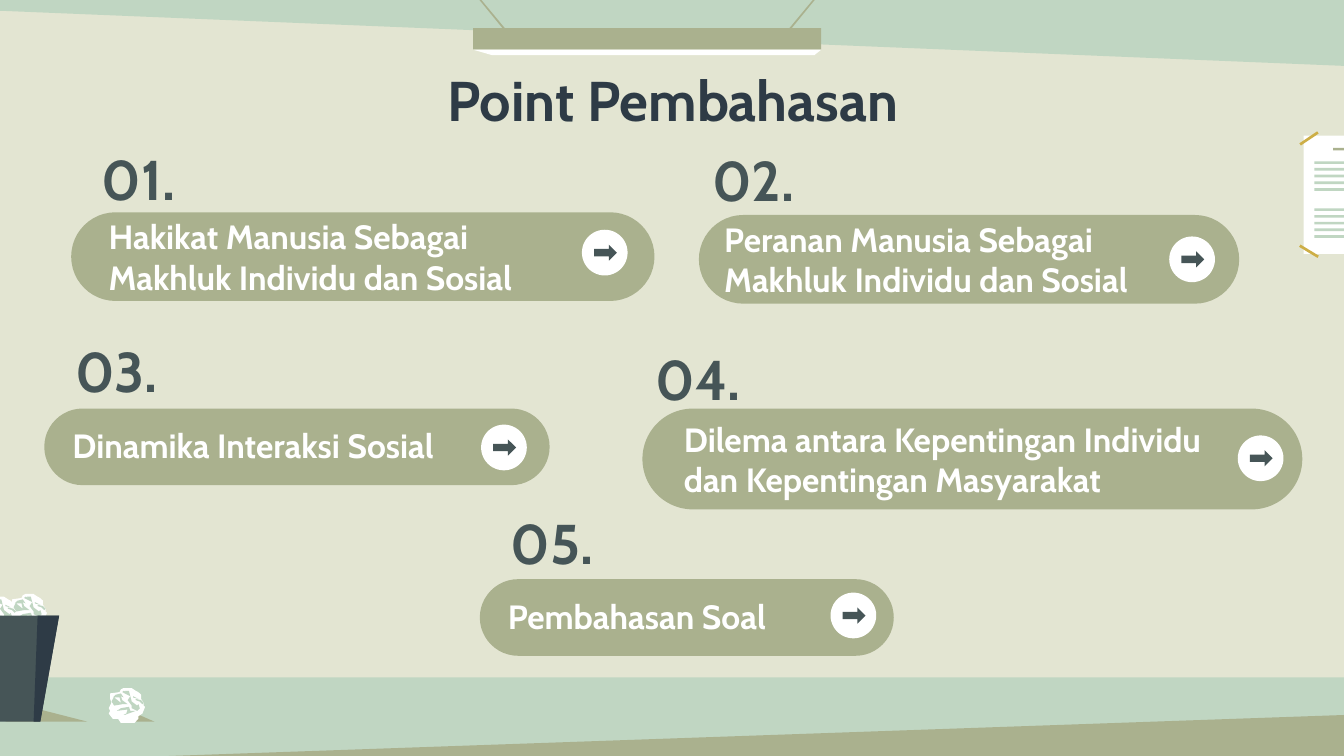
from pptx import Presentation
from pptx.dml.color import RGBColor
from pptx.enum.shapes import MSO_SHAPE
from pptx.enum.text import MSO_ANCHOR, PP_ALIGN
from pptx.util import Inches, Pt

RECTANGLE, PILL = MSO_SHAPE.RECTANGLE, MSO_SHAPE.ROUNDED_RECTANGLE
ELLIPSE, ARROW = MSO_SHAPE.OVAL, MSO_SHAPE.RIGHT_ARROW
MIDDLE, LEFT, CENTER = MSO_ANCHOR.MIDDLE, PP_ALIGN.LEFT, PP_ALIGN.CENTER

FONT = "Cabin"
CREAM, MINT, OLIVE, WHITE = "E3E5D2", "C0D6C2", "AAB18E", "FFFFFF"
SLATE, NAVY, GOLD = "465557", "2E3B46", "CDAE46"

# Outline and folds of a crumpled paper ball, from its top left corner
BALL_OUTLINE = [
    (.11, 0), (.09, .01), (.08, .03), (.01, .04), (.01, .08), (.02, .11), (0, .15),
    (.01, .17), (0, .19), (.03, .23), (.07, .23), (.09, .26), (.19, .26), (.22, .23),
    (.22, .21), (.25, .19), (.27, .14), (.26, .13), (.26, .11), (.24, .08),
    (.24, .05), (.22, .03), (.2, .02), (.17, 0)]
LEFT_FOLD = [
    (.09, .04), (.05, .05), (.03, .07), (.08, .07), (.09, .11), (.04, .07), (.03, .08),
    (.02, .1), (.04, .13), (.1, .12), (.14, .12), (.1, .09), (.09, .06), (.11, .07)]
FOLDS = [
    [(.15, .14), (.09, .15), (.06, .17), (.14, .16), (.13, .19), (.11, .2),
     (.12, .2), (.2, .17), (.16, .17)],
    [(.13, .02), (.12, .02), (.15, .04), (.11, .02), (.1, .03), (.12, .04),
     (.16, .06), (.15, .02)],
    [(.18, .06), (.18, .07), (.22, .08)],
    [(.2, .08), (.2, .09), (.23, .1), (.25, .12), (.26, .11), (.24, .09)],
    [(.16, .06), (.14, .09), (.17, .13), (.17, .15), (.21, .17), (.23, .15),
     (.22, .12), (.21, .13), (.17, .1)]]

# Number, text, pill box, number offset, text offset, text width, badge offset
TOPICS = [
    ("01.", "Hakikat Manusia Sebagai Makhluk Individu dan Sosial",
     (.53, 1.58, 4.34, .66), (.13, -.48), (.18, 0), 3.41, (3.8, .13)),
    ("02.", "Peranan Manusia Sebagai Makhluk Individu dan Sosial",
     (5.2, 1.6, 4.02, .66), (0, -.49), (.09, 0), 3.41, (3.5, .16)),
    ("03.", "Dinamika Interaksi Sosial",
     (.33, 3.04, 3.76, .57), (.13, -.51), (.11, -.01), 3.14, (3.25, .12)),
    ("04.", "Dilema antara Kepentingan Individu dan Kepentingan Masyarakat",
     (4.78, 3.04, 4.91, .75), (0, -.45), (.21, 0), 4.43, (4.43, .2)),
    ("05.", "Pembahasan Soal",
     (3.57, 4.31, 3.08, .57), (.13, -.5), (.11, -.01), 2.97, (2.61, .1)),
]


def color(value):
    return RGBColor.from_string(value)


def paint(shape, fill):
    shape.shadow.inherit = False
    shape.fill.solid()
    shape.fill.fore_color.rgb = color(fill)
    shape.line.fill.background()
    return shape


def add_shape(slide, kind, left, top, width, height, fill):
    box = map(Inches, (left, top, width, height))
    return paint(slide.shapes.add_shape(kind, *box), fill)


def add_outline(slide, points, fill, left=0, top=0):
    corners = [(Inches(left + x), Inches(top + y)) for x, y in points]
    builder = slide.shapes.build_freeform(*corners[0])
    builder.add_line_segments(corners[1:], close=True)
    return paint(builder.convert_to_shape(), fill)


def add_text(slide, text, left, top, width, height, size, text_color, align=LEFT):
    box = slide.shapes.add_textbox(*map(Inches, (left, top, width, height)))
    frame = box.text_frame
    frame.word_wrap = True
    frame.vertical_anchor = MIDDLE
    frame.margin_left = frame.margin_right = Inches(.1)
    frame.margin_top = frame.margin_bottom = Inches(.1)
    paragraph = frame.paragraphs[0]
    paragraph.text = text
    paragraph.alignment = align
    font = paragraph.font
    font.name, font.size, font.bold = FONT, Pt(size), True
    font.color.rgb = color(text_color)


def add_backdrop(slide):
    slide.background.fill.solid()
    slide.background.fill.fore_color.rgb = color(CREAM)
    add_shape(slide, RECTANGLE, 0, 5.04, 10, .62, MINT)
    add_outline(slide, [(10, 5.32), (10, 5.67), (-.03, 5.67)], OLIVE)
    add_outline(slide, [(0, 0), (0, .08), (10, .49), (10, 0)], MINT)


def add_lamp(slide, left, top, width):
    # Wires mirrored about the middle of the lamp
    wire = [(-.22, -.55), (-.23, -.55), (.26, .05), (.27, .04)]
    add_outline(slide, wire, OLIVE, left, top)
    add_outline(slide, [(width - x, y) for x, y in wire], OLIVE, left, top)
    # Shade and light
    add_shape(slide, RECTANGLE, left, top, width, .16, OLIVE)
    light = [(0, .16), (.14, .2), (width - .05, .2), (width, .16)]
    add_outline(slide, light, WHITE, left, top)


def add_paper_ball(slide, left, top, folds):
    add_outline(slide, BALL_OUTLINE, WHITE, left, top)
    for fold in folds:
        add_outline(slide, fold, MINT, left, top)


def add_bin(slide, left, top):
    # Floor shadow, paper inside, then the bin in front
    add_outline(slide, [(.46, .69), (.24, .79), (.85, .79)], OLIVE, left, top)
    add_paper_ball(slide, left + .28, top - .16, [LEFT_FOLD] + FOLDS)
    add_paper_ball(slide, left + .06, top - .14, FOLDS)
    add_outline(slide, [(0, 0), (.11, .79), (.5, .79), (.64, 0)], SLATE, left, top)
    add_outline(slide, [(.48, 0), (.45, .79), (.5, .79), (.64, 0)], NAVY, left, top)


def add_fallen_ball(slide, left, top):
    add_outline(slide, [(.18, .18), (.1, .25), (.34, .25)], OLIVE, left, top)
    add_paper_ball(slide, left, top, [LEFT_FOLD] + FOLDS)


def add_wall_note(slide, left, top):
    sheet = [(0, 0), (0, .88), (.65, .88), (.65, .15), (.49, 0)]
    add_outline(slide, sheet, WHITE, left, top)
    add_shape(slide, RECTANGLE, left + .22, top + .09, .2, .02, OLIVE)
    # Two blocks of five written lines
    for block_top in (.19, .54):
        for line in range(5):
            add_shape(slide, RECTANGLE, left + .08, top + block_top + .05 * line,
                      .49, .02, MINT)
    # Tape
    for tape_top, angle in ((.85, 31.2), (.01, 326.1)):
        tape = add_shape(slide, RECTANGLE, left - .04, top + tape_top, .16, .02, GOLD)
        tape.rotation = angle


def add_badge(slide, left, top):
    add_shape(slide, ELLIPSE, left, top, .34, .34, WHITE)
    arrow = add_shape(slide, ARROW, left + .09, top + .11, .17, .12, SLATE)
    arrow.adjustments[0] = .46


def add_topic(slide, number, text, box, number_offset, text_offset, text_width,
              badge_offset):
    left, top, width, height = box
    pill = add_shape(slide, PILL, left, top, width, height, OLIVE)
    pill.adjustments[0] = .5
    add_text(slide, number, left + number_offset[0], top + number_offset[1],
             1.02, .45, 30, SLATE)
    add_text(slide, text, left + text_offset[0], top + text_offset[1],
             text_width, height, 18, WHITE)
    add_badge(slide, left + badge_offset[0], top + badge_offset[1])


def main():
    presentation = Presentation()
    # Widescreen, 16 to 9
    presentation.slide_width = Inches(10)
    presentation.slide_height = Inches(10) * 9 // 16
    slide = presentation.slides.add_slide(presentation.slide_layouts[6])

    add_backdrop(slide)
    add_lamp(slide, 3.52, .21, 2.59)
    add_bin(slide, -.2, 4.58)
    add_wall_note(slide, 9.7, 1.01)
    add_fallen_ball(slide, .81, 5.12)

    add_text(slide, "Point Pembahasan", .79, .51, 8.43, .45, 30, NAVY, CENTER)
    for topic in TOPICS:
        add_topic(slide, *topic)

    presentation.save("out.pptx")


if __name__ == "__main__":
    main()
